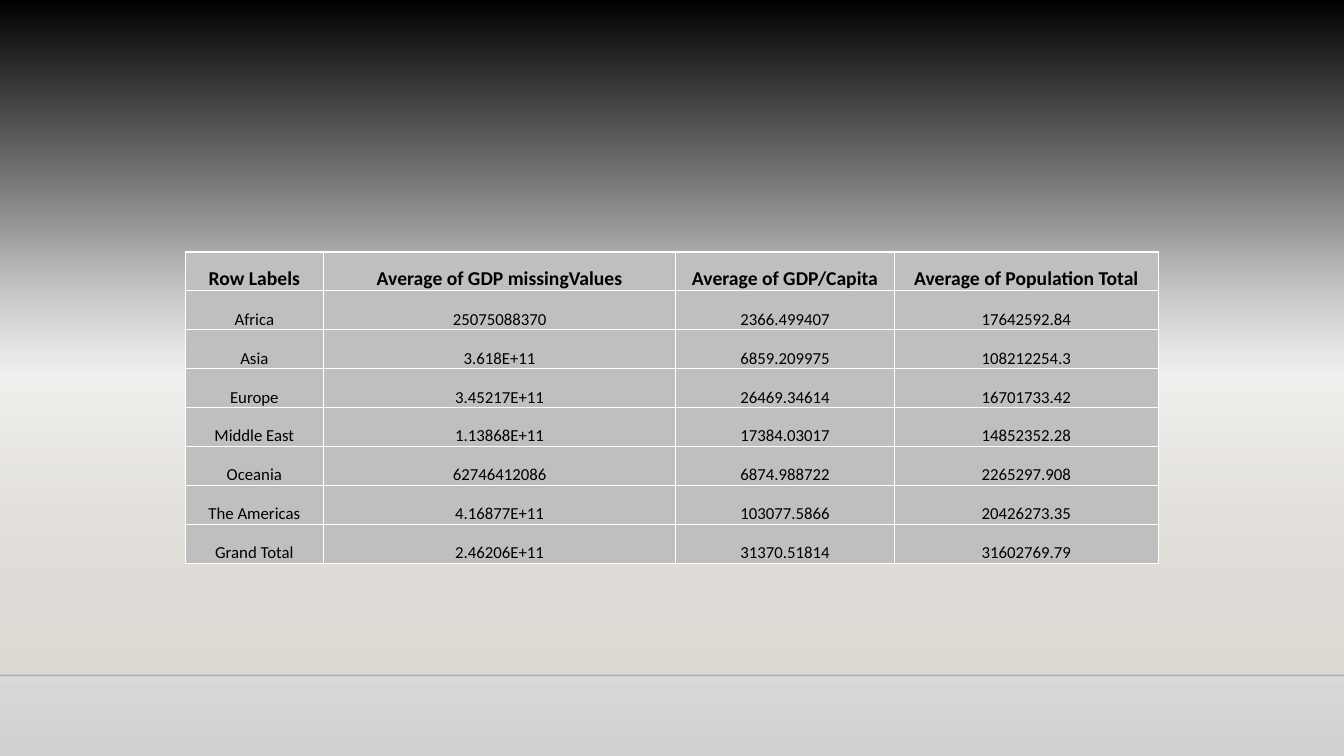
from lxml.etree import SubElement
from pptx import Presentation
from pptx.dml.color import RGBColor
from pptx.enum.shapes import MSO_CONNECTOR, MSO_SHAPE
from pptx.enum.text import MSO_ANCHOR, PP_ALIGN
from pptx.oxml.ns import qn
from pptx.util import Cm, Pt

WIDTH, HEIGHT = 33.87, 19.05
FLOOR_TOP = 17.02

HEADERS = ["Row Labels", "Average of GDP missingValues",
           "Average of GDP/Capita", "Average of Population Total"]
REGIONS = [
    ["Africa", "25075088370", "2366.499407", "17642592.84"],
    ["Asia", "3.618E+11", "6859.209975", "108212254.3"],
    ["Europe", "3.45217E+11", "26469.34614", "16701733.42"],
    ["Middle East", "1.13868E+11", "17384.03017", "14852352.28"],
    ["Oceania", "62746412086", "6874.988722", "2265297.908"],
    ["The Americas", "4.16877E+11", "103077.5866", "20426273.35"],
    ["Grand Total", "2.46206E+11", "31370.51814", "31602769.79"],
]


def color(value):
    return RGBColor.from_string(value)


def add_color(parent, value, opacity=100):
    element = SubElement(parent, qn("a:srgbClr"), val=value)
    if opacity < 100:
        SubElement(element, qn("a:alpha"), val=str(opacity * 1000))


class SlideBuilder:
    font_name = "Calibri"
    text_color = "000000"
    cell_color = "BFBFBF"
    border_color = "FFFFFF"

    def __init__(self, slide):
        self.slide = slide

    def apply_gradient(self, fill, owner, stops):
        """Fill downwards with stops of (position, colour, opacity)."""
        fill.gradient()
        gradient = owner.xpath(".//a:gradFill")[0]
        stop_list = gradient.find(qn("a:gsLst"))
        for stop in list(stop_list):
            stop_list.remove(stop)
        for position, value, opacity in stops:
            stop = SubElement(stop_list, qn("a:gs"), pos=str(position * 1000))
            add_color(stop, value, opacity)
        fill.gradient_angle = 270

    def background(self, stops):
        self.apply_gradient(self.slide.background.fill, self.slide.element, stops)

    def gradient_box(self, left, top, width, height, stops):
        box = self.slide.shapes.add_shape(
            MSO_SHAPE.RECTANGLE, Cm(left), Cm(top), Cm(width), Cm(height))
        box.shadow.inherit = False
        box.line.fill.background()
        self.apply_gradient(box.fill, box.element.spPr, stops)

    def horizontal_line(self, left, top, width, value, opacity):
        line = self.slide.shapes.add_connector(
            MSO_CONNECTOR.STRAIGHT, Cm(left), Cm(top), Cm(left + width), Cm(top))
        line.line.width = Pt(1)
        line.line.color.rgb = color(value)
        solid = line.element.spPr.xpath("./a:ln/a:solidFill")[0]
        solid.clear()
        add_color(solid, value, opacity)
        SubElement(line.element.spPr, qn("a:effectLst"))

    def table(self, left, top, column_widths, row_height, rows):
        table = self.slide.shapes.add_table(
            len(rows), len(column_widths), Cm(left), Cm(top),
            Cm(sum(column_widths)), Cm(row_height * len(rows))).table
        table.first_row = table.horz_banding = False
        for column, width in zip(table.columns, column_widths):
            column.width = Cm(width)
        for row_index, values in enumerate(rows):
            table.rows[row_index].height = Cm(row_height)
            for column_index, text in enumerate(values):
                self.format_cell(table.cell(row_index, column_index), text,
                                 is_header=row_index == 0)

    def format_cell(self, cell, text, is_header):
        cell.vertical_anchor = MSO_ANCHOR.BOTTOM
        cell.margin_left = cell.margin_right = cell.margin_top = Cm(0.02)
        cell.margin_bottom = 0
        para = cell.text_frame.paragraphs[0]
        para.text = text
        para.alignment = PP_ALIGN.CENTER
        para.font.name = self.font_name
        para.font.size = Pt(14 if is_header else 12)
        para.font.bold = is_header
        para.font.color.rgb = color(self.text_color)
        # Borders come before the fill in the cell properties
        properties = cell._tc.get_or_add_tcPr()
        for side in ("lnL", "lnR", "lnT", "lnB"):
            border = SubElement(properties, qn(f"a:{side}"), w=str(Pt(1)))
            add_color(SubElement(border, qn("a:solidFill")), self.border_color)
        cell.fill.solid()
        cell.fill.fore_color.rgb = color(self.cell_color)


def main():
    deck = Presentation()
    deck.slide_width, deck.slide_height = Cm(WIDTH), Cm(HEIGHT)
    page = SlideBuilder(deck.slides.add_slide(deck.slide_layouts[6]))

    # Backdrop: wall, haze and floor edge
    page.background([(0, "000000", 100), (50, "FBFBFB", 100), (100, "D1D1D1", 100)])
    haze_top = 5.61
    page.gradient_box(0, haze_top, WIDTH, FLOOR_TOP - haze_top,
                      [(0, "DFDBD5", 0), (100, "DFDBD5", 100)])
    page.horizontal_line(0, FLOOR_TOP, WIDTH, "000001", 20)

    # Averages by region
    page.table(4.67, 6.35, [3.48, 8.88, 5.51, 6.65], 0.98, [HEADERS] + REGIONS)

    deck.save("out.pptx")


if __name__ == "__main__":
    main()
